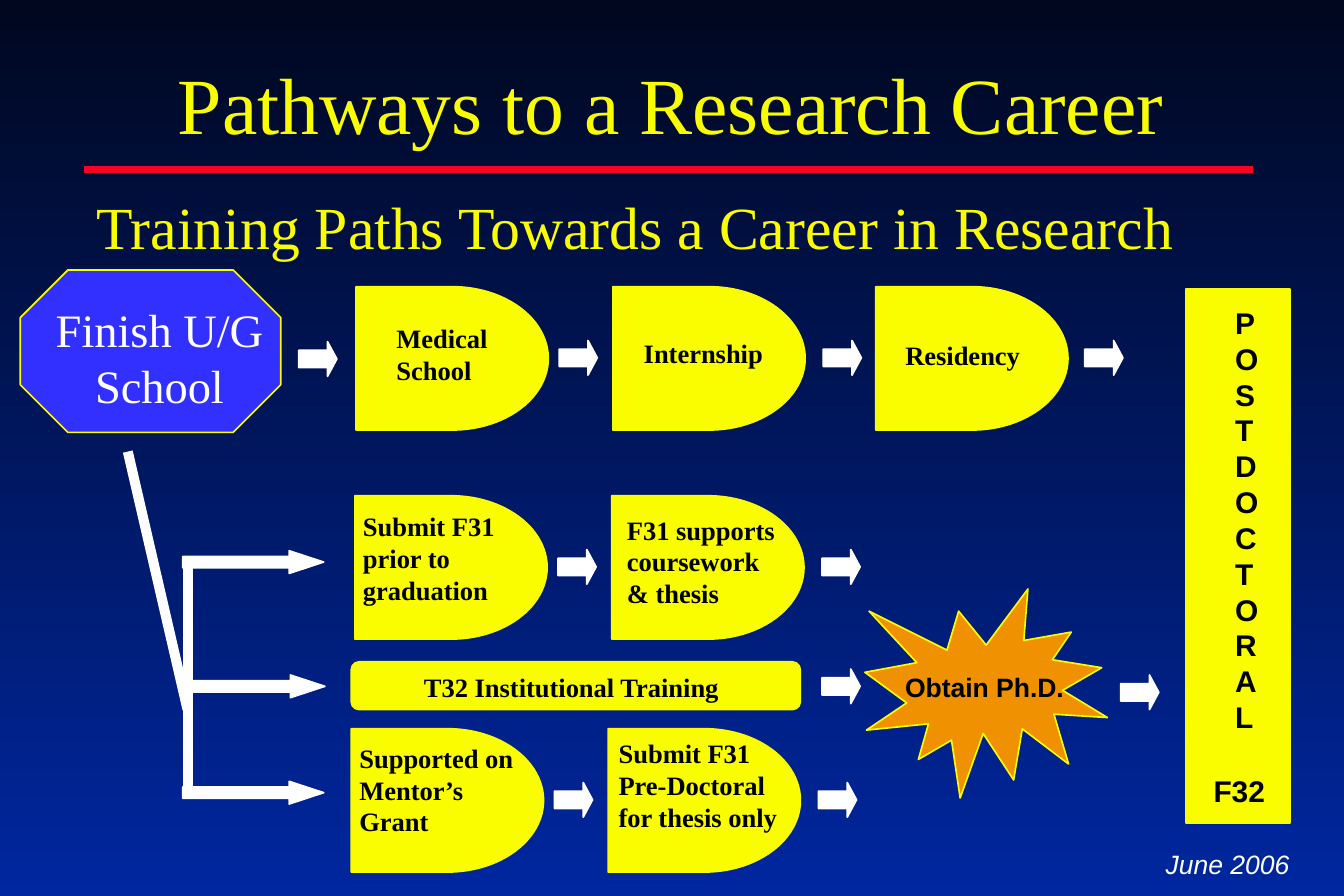
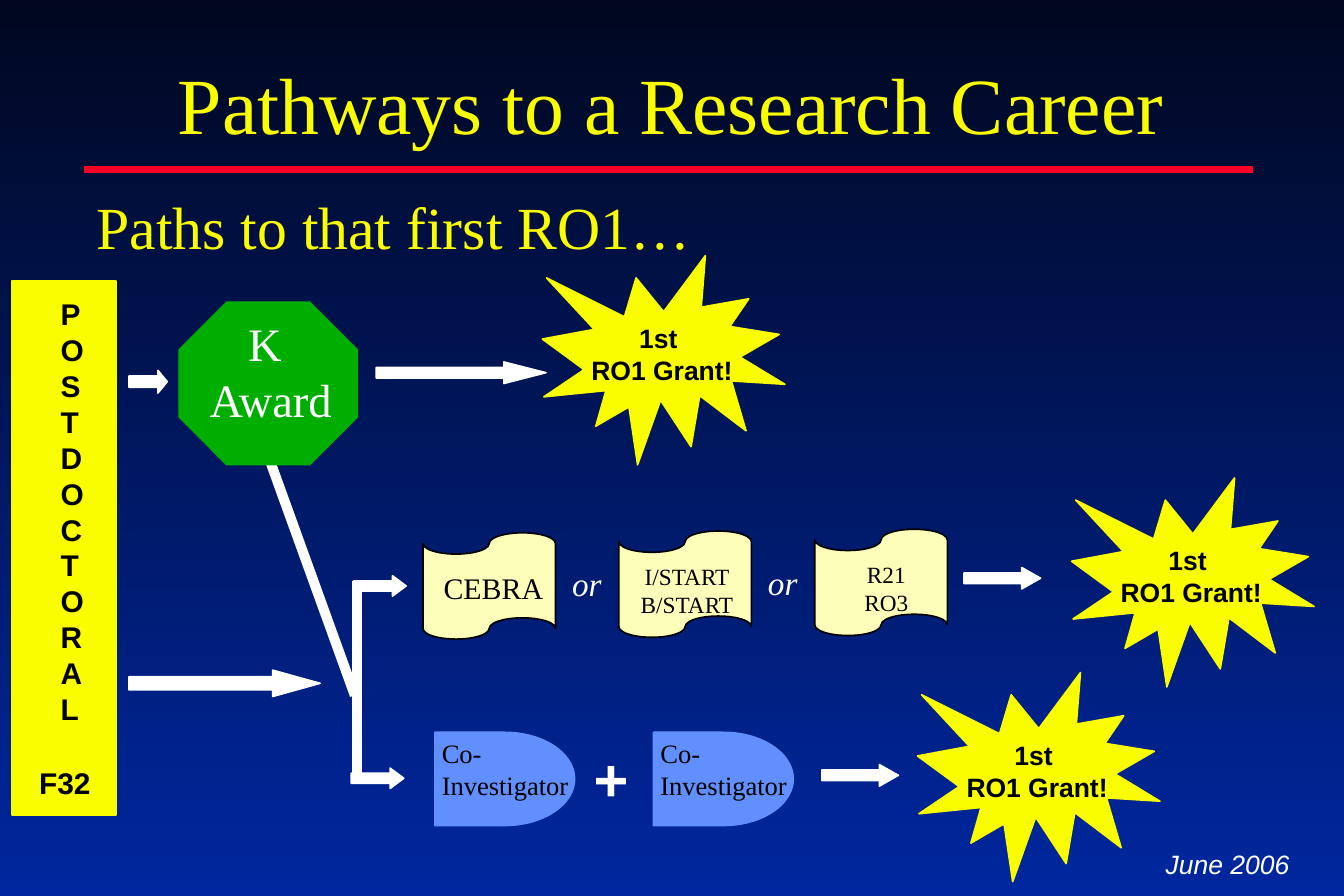
import pptx
import pptx.util
import pptx.dml.color
import pptx.enum.shapes
import pptx.enum.text
from dataclasses import dataclass
from lxml import etree

Inches = pptx.util.Inches
Pt = pptx.util.Pt
SHAPE = pptx.enum.shapes.MSO_SHAPE
ALIGN = pptx.enum.text.PP_ALIGN
DRAWING_NS = "http://schemas.openxmlformats.org/drawingml/2006/main"


@dataclass(frozen=True)
class Style:
    size: int
    font: str
    color: str
    bold: bool = False
    italic: bool = False
    spacing: float = 1.0


class Theme:
    night, navy = "00071F", "00279F"
    yellow, red, white, black = "FAFD00", "FC0128", "FFFFFF", "000000"
    blue, green, orange = "3130FF", "00AE00", "EF9100"
    cream, sky = "FCFEB9", "618FFD"
    serif, sans = "Times New Roman", "Arial"

    title = Style(48, serif, yellow, spacing=0.9)
    subtitle = Style(36, serif, yellow)
    start = Style(28, serif, white)
    stage = Style(16, serif, black, bold=True)
    partner = Style(16, serif, black)
    tape = Style(14, serif, black)
    tape_big = Style(18, serif, black)
    joiner = Style(20, serif, white, italic=True)
    plus = Style(36, sans, white, bold=True)
    burst = Style(16, sans, black, bold=True)
    band = Style(18, sans, black, bold=True)
    footer = Style(16, sans, white, italic=True)


def rgb(value):
    return pptx.dml.color.RGBColor.from_string(value)


# Basic parts
def write(tf, lines, style, align=ALIGN.LEFT, wrap=False):
    tf.word_wrap = wrap
    for i, line in enumerate(lines):
        p = tf.paragraphs[0] if i == 0 else tf.add_paragraph()
        p.alignment = align
        p.line_spacing = style.spacing
        r = p.add_run()
        r.text = line
        r.font.size = Pt(style.size)
        r.font.name = style.font
        r.font.bold = style.bold
        r.font.italic = style.italic
        r.font.color.rgb = rgb(style.color)


def add_text(s, x, y, w, h, lines, style, align=ALIGN.LEFT, wrap=False):
    box = s.shapes.add_textbox(Inches(x), Inches(y), Inches(w), Inches(h))
    write(box.text_frame, lines, style, align, wrap)


def add_shape(s, kind, x, y, w, h, fill, line=None, adjust=()):
    sp = s.shapes.add_shape(kind, Inches(x), Inches(y), Inches(w), Inches(h))
    sp.shadow.inherit = False
    sp.fill.solid()
    sp.fill.fore_color.rgb = rgb(fill)
    sp.line.color.rgb = rgb(line or fill)
    sp.line.width = Pt(1)
    for i, value in enumerate(adjust):
        sp.adjustments[i] = value
    return sp


def add_line(s, x1, y1, x2, y2, color=Theme.white, width=6):
    line = s.shapes.add_connector(
        pptx.enum.shapes.MSO_CONNECTOR.STRAIGHT,
        Inches(x1), Inches(y1), Inches(x2), Inches(y2))
    line.line.color.rgb = rgb(color)
    line.line.width = Pt(width)
    etree.SubElement(line._element.spPr, "{%s}effectLst" % DRAWING_NS)


def add_arrow(s, x, y, w=0.32, h=0.29, head=0.27):
    add_shape(s, SHAPE.RIGHT_ARROW, x, y, w, h, Theme.white, adjust=(0.5, head))


def add_burst(s, x, y, lines, fill=Theme.yellow):
    sp = add_shape(s, SHAPE.EXPLOSION1, x, y, 2.03, 1.75, fill, Theme.yellow)
    write(sp.text_frame, lines, Theme.burst, ALIGN.CENTER)
    sp.text_frame.vertical_anchor = pptx.enum.text.MSO_ANCHOR.MIDDLE


# Shared frame: title, rule, subtitle, date
def new_slide(prs, subtitle, subtitle_width):
    s = prs.slides.add_slide(prs.slide_layouts[6])
    add_text(s, 9.66, 7.05, 1.4, 0.36, ["June 2006"], Theme.footer)
    add_line(s, 0.7, 1.42, 10.49, 1.42, Theme.red, 4)
    add_text(s, 1.39, 0.5, 8.6, 0.82, ["Pathways to a Research Career"], Theme.title)
    add_text(s, 0.71, 1.54, subtitle_width, 0.7, [subtitle], Theme.subtitle, wrap=True)
    return s


def postdoc_band(s, x, y):
    add_shape(s, SHAPE.RECTANGLE, x, y, 0.87, 4.47, Theme.yellow)
    # The narrow box breaks the word into one letter a line
    add_text(s, x + 0.31, y + 0.08, 0.4, 3.7, ["POSTDOCTORAL"], Theme.band, wrap=True)
    add_text(s, x + 0.13, y + 4, 0.7, 0.4, ["F32"], Theme.band)


def start_octagon(s, x, y, w, fill, line, lines, dx, dy, text_w):
    add_shape(s, SHAPE.OCTAGON, x, y, w, 1.36, fill, line, (0.293,))
    add_text(s, x + dx, y + dy, text_w, 1.04, lines, Theme.start, ALIGN.CENTER)


# Training paths
def stage_row(s, x, y, stages):
    """Each stage is its lines with the label's offset and width."""
    for (lines, dx, dy, w), stage_x, arrow_x in zip(
            stages, (0, 2.15, 4.35), (1.7, 3.91, 6.1)):
        add_shape(s, SHAPE.FLOWCHART_DELAY, x + stage_x, y, 1.61, 1.2, Theme.yellow)
        add_text(s, x + stage_x + dx, y + dy, w, 0.9, lines, Theme.stage, wrap=True)
        add_arrow(s, x + arrow_x, y + 0.45)


def institutional_bar(s, x, y):
    add_shape(s, SHAPE.ROUNDED_RECTANGLE, x, y, 3.76, 0.4, Theme.yellow, adjust=(0.167,))
    add_text(s, x + 0.51, y + 0.03, 2.81, 0.37, ["T32 Institutional Training"],
             Theme.stage, wrap=True)
    add_arrow(s, x + 3.94, y + 0.06)


def training_branches(s, x, y):
    add_line(s, x - 0.5, y - 0.93, x, y + 1.23)
    add_line(s, x, y, x, y + 1.96)
    for dx, dy in ((-0.04, -0.1), (-0.03, 0.94), (-0.04, 1.83)):
        add_arrow(s, x + dx, y + dy, 1.18, 0.19, 1.52)


def training_slide(prs):
    s = new_slide(prs, "Training Paths Towards a Career in Research", 10)
    start_octagon(s, 0.17, 2.26, 2.18, Theme.blue, Theme.yellow,
                  ["Finish U/G", "School"], 0.01, 0.21, 2.31)
    training_branches(s, 1.57, 4.71)
    add_arrow(s, 2.5, 2.86)
    stage_row(s, 2.98, 2.4, [
        (["Medical School"], 0.24, 0.25, 1.6),
        (["Internship"], 0.16, 0.37, 1.53),
        (["Residency"], 0.15, 0.39, 1.53)])
    stage_row(s, 2.97, 4.15, [
        (["Submit F31 prior to graduation"], -0.03, 0.07, 1.6),
        (["F31 supports coursework & thesis"], 0.03, 0.1, 1.53)])
    institutional_bar(s, 2.94, 5.54)
    stage_row(s, 2.94, 6.1, [
        (["Supported on Mentor’s", "Grant"], -0.03, 0.06, 1.6),
        (["Submit F31 Pre-Doctoral", "for thesis only"], -0.01, 0.02, 1.53)])
    add_burst(s, 7.24, 4.93, ["Obtain Ph.D."], Theme.orange)
    add_arrow(s, 9.38, 5.65)
    postdoc_band(s, 9.93, 2.42)


# Paths to the first grant
GRANT = ["1st ", "RO1 Grant!"]


def award_path(s, x, y):
    add_line(s, x + 0.75, y + 1.3, x + 1.47, y + 3.29)
    start_octagon(s, x, y, 1.49, Theme.green, None, ["K ", "Award"], 0.04, 0.06, 1.45)
    add_arrow(s, x + 1.65, y + 0.5, 1.42, 0.18, 1.96)
    add_burst(s, x + 3.04, y - 0.39, GRANT)


def grant_branches(s, x, y):
    add_line(s, x, y, x, y + 1.64)
    add_arrow(s, x - 0.03, y - 0.04, 0.44, 0.17, 0.67)
    add_arrow(s, x - 0.05, y + 1.57, 0.44, 0.17, 0.67)


def tape_row(s, x, y):
    tapes = [(["CEBRA"], Theme.tape_big, -0.01, 0.26),
             (["I/START B/START"], Theme.tape, -0.03, 0.21),
             (["R21", "RO3"], Theme.tape, 0, 0.21)]
    for i, (lines, style, dx, dy) in enumerate(tapes):
        left, top = x + 1.64 * i, y - 0.015 * i
        add_shape(s, SHAPE.FLOWCHART_PUNCHED_TAPE,
                  left, top, 1.11, 0.89, Theme.cream, Theme.black)
        add_text(s, left + dx, top + dy, 1.2, 0.57, lines, style, ALIGN.CENTER, True)
        if i < len(tapes) - 1:
            add_text(s, left + 1.15, top + 0.21, 0.55, 0.44, ["or"], Theme.joiner)
    add_arrow(s, x + 4.53, y + 0.29, 0.64, 0.18, 0.88)
    add_burst(s, x + 5.43, y - 0.46, GRANT)


def partner_row(s, x, y):
    for left in (x, x + 1.83):
        add_shape(s, SHAPE.FLOWCHART_DELAY, left, y, 1.17, 0.78, Theme.sky)
        add_text(s, left - 0.04, y - 0.01, 1.31, 0.64, ["Co-Investigator"],
                 Theme.partner, wrap=True)
    add_text(s, x + 1.23, y + 0.03, 0.55, 0.7, ["+"], Theme.plus)
    add_arrow(s, x + 3.24, y + 0.27, 0.64, 0.18, 0.88)
    add_burst(s, x + 4.04, y - 0.5, GRANT)


def first_grant_slide(prs):
    s = new_slide(prs, "Paths to that first RO1…", 5.5)
    award_path(s, 1.5, 2.53)
    grant_branches(s, 2.99, 4.86)
    tape_row(s, 3.54, 4.46)
    partner_row(s, 3.64, 6.13)
    postdoc_band(s, 0.1, 2.35)
    add_arrow(s, 1.08, 3.1, 0.32, 0.19, 0.41)
    add_arrow(s, 1.08, 5.61, 1.6, 0.22, 1.8)


def set_background(prs):
    fill = prs.slide_master.background.fill
    fill.gradient()
    fill.gradient_angle = 270
    for stop, color, position in zip(
            fill.gradient_stops, (Theme.night, Theme.navy), (0, 1)):
        stop.color.rgb = rgb(color)
        stop.position = position


def main():
    prs = pptx.Presentation()
    prs.slide_width, prs.slide_height = Inches(11.25), Inches(7.5)
    set_background(prs)
    training_slide(prs)
    first_grant_slide(prs)
    prs.save("out.pptx")


if __name__ == "__main__":
    main()
